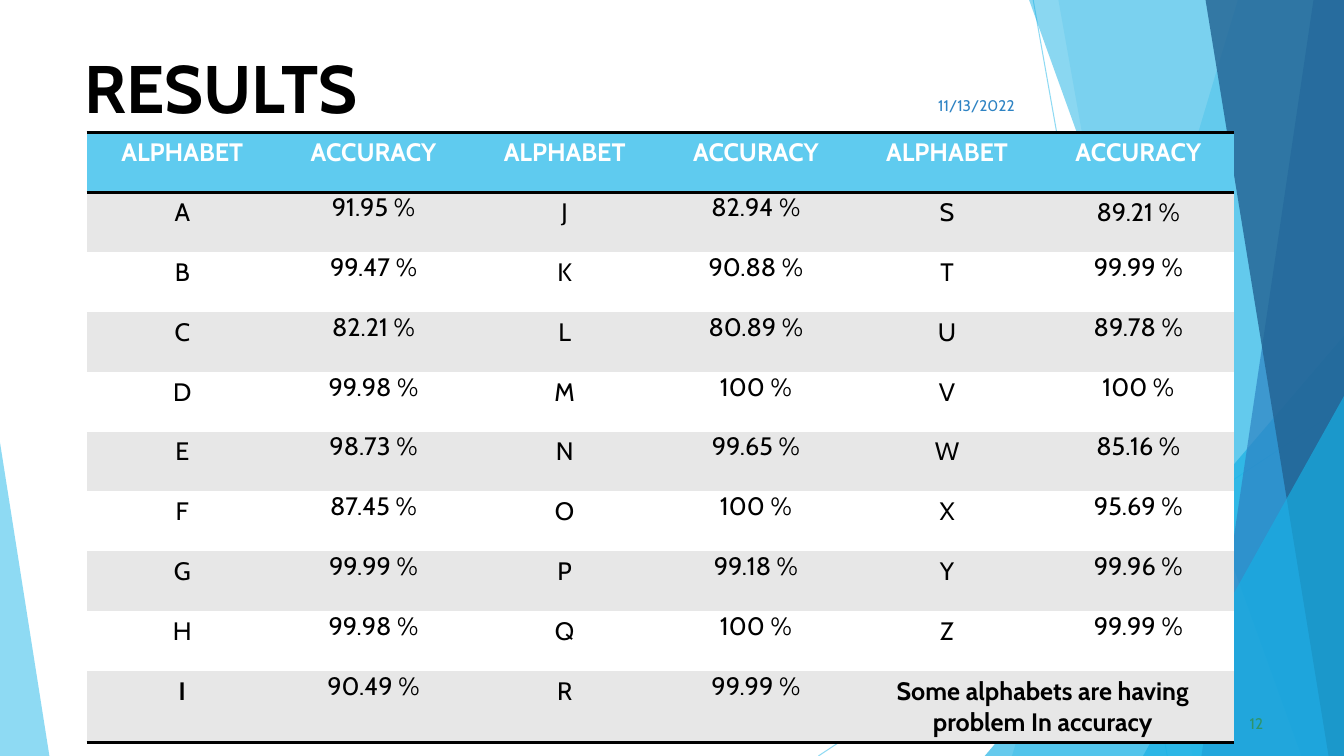
"""Build the results slide: a table of accuracy per letter over blue facets."""
from dataclasses import dataclass

from lxml.etree import SubElement as Sub
from pptx import Presentation
from pptx.dml.color import RGBColor as Rgb
from pptx.enum.shapes import MSO_CONNECTOR as Link, MSO_SHAPE as Form
from pptx.enum.text import MSO_ANCHOR as Anchor, PP_ALIGN as Align
from pptx.oxml import parse_xml
from pptx.oxml.ns import nsdecls, qn
from pptx.util import Pt


@dataclass(frozen=True)
class Theme:
    font: str = "Cabin"
    sky: str = "5FCBEF"
    cyan: str = "17B0E4"
    blue: str = "2E83C3"
    navy: str = "226292"
    green: str = "2E946B"
    black: str = "000000"
    white: str = "FFFFFF"
    gray: str = "E7E7E7"
    head: int = 48
    body: int = 18
    foot: int = 11


T = Theme()
WIDE, HIGH = 960, 540
TITLE = "RESULTS"
HEADS = ["ALPHABET", "ACCURACY"] * 3
ROWS = [
    ("A", "91.95 %", "J", "82.94 %", "S", "89.21 %"),
    ("B", "99.47 %", "K", "90.88 %", "T", "99.99 %"),
    ("C", "82.21 %", "L", "80.89 %", "U", "89.78 %"),
    ("D", "99.98 %", "M", "100 %", "V", "100 %"),
    ("E", "98.73 %", "N", "99.65 %", "W", "85.16 %"),
    ("F", "87.45 %", "O", "100 %", "X", "95.69 %"),
    ("G", "99.99 %", "P", "99.18 %", "Y", "99.96 %"),
    ("H", "99.98 %", "Q", "100 %", "Z", "99.99 %"),
    ("I", "90.49 %", "R", "99.99 %", "Some alphabets are having problem In accuracy", ""),
]
NOTE = ROWS[-1][4]
BOLD = {*HEADS, "I", NOTE}
LOW = {"89.21 %", NOTE}
MARKS = [("11/13/2022", 516, 61, T.blue), ("12", 693.4, 502.6, T.green)]
LINES = [(738, 0, 833.8, HIGH), (WIDE, 290.2, 584.6, HIGH)]
FACETS = [
    ("panel", (884.2, 722.9), T.sky, 36),
    ("panel", (756, 851.8), T.sky, 20),
    ("wedge", (703.4, 239.8, 256.6, 1), T.cyan, 66),
    ("panel", (735.1, 929.5), T.cyan, 50),
    ("panel", (938.2, 858.2), T.blue, 70),
    ("panel", (861.1, 949), T.navy, 80),
    ("wedge", (816.5, 283, 143.5, 1), T.cyan, 66),
    ("wedge", (0, 316.1, 35.3, 0), T.sky, 70),
]
LEFT, TOP, COL, ROW, LAST = 61.9, 94.5, 136.6, 42.75, 51.3


def write(frame, text, size=T.body, color=T.black, bold=False, align=Align.LEFT):
    frame.word_wrap = True
    para = frame.paragraphs[0]
    para.alignment = align
    run = para.add_run()
    run.text = text
    font = run.font
    font.name, font.size, font.bold = T.font, Pt(size), bold
    font.color.rgb = Rgb.from_string(color)


def label(slide, box, text, anchor=Anchor.TOP, **kw):
    frame = slide.shapes.add_textbox(*map(Pt, box)).text_frame
    frame.vertical_anchor = anchor
    write(frame, text, **kw)


def fade(item, alpha):
    for color in item._element.spPr.iter(qn("a:srgbClr")):
        Sub(color, qn("a:alpha"), val=str(alpha * 1000))


def panel(slide, top, base):
    pen = slide.shapes.build_freeform(Pt(top), 0, scale=1.0)
    spots = [(WIDE, 0), (WIDE, HIGH), (base, HIGH)]
    pen.add_line_segments([(Pt(x), Pt(y)) for x, y in spots], close=True)
    return pen.convert_to_shape()


def wedge(slide, x, y, width, peak):
    form = slide.shapes.add_shape(
        Form.ISOSCELES_TRIANGLE, Pt(x), Pt(y), Pt(width), Pt(HIGH - y))
    form.adjustments[0] = peak
    return form


def scene(slide):
    for ends in LINES:
        line = slide.shapes.add_connector(Link.STRAIGHT, *map(Pt, ends))
        line.line.width = Pt(0.75)
        line.line.color.rgb = Rgb.from_string(T.sky)
        fade(line, 70)
        Sub(line._element.spPr, qn("a:effectLst"))
    make = {"panel": panel, "wedge": wedge}
    for kind, place, color, alpha in FACETS:
        facet = make[kind](slide, *place)
        facet.fill.solid()
        facet.fill.fore_color.rgb = Rgb.from_string(color)
        facet.line.fill.background()
        facet.shadow.inherit = False
        fade(facet, alpha)


def rule(cell, side):
    cell._tc.get_or_add_tcPr().insert(0, parse_xml(
        f'<a:{side} {nsdecls("a")} w="{Pt(2.25)}"><a:solidFill>'
        f'<a:srgbClr val="{T.black}"/></a:solidFill></a:{side}>'))


def grid(slide):
    data = [HEADS, *ROWS]
    rows, cols = len(data), len(HEADS)
    size = (LEFT, TOP, COL * cols, ROW * (rows - 1) + LAST)
    table = slide.shapes.add_table(rows, cols, *map(Pt, size)).table
    style = table._tbl.tblPr.find(qn("a:tableStyleId"))
    style.text = "{2D5ABB26-0587-4C30-8999-92F81FD0307C}"
    table.horz_banding = False
    for col in table.columns:
        col.width = Pt(COL)
    for r, texts in enumerate(data):
        table.rows[r].height = Pt(LAST if r == rows - 1 else ROW)
        for c, text in enumerate(texts):
            cell = table.cell(r, c)
            cell.fill.solid()
            fill = T.sky if r == 0 else T.gray if r % 2 else T.white
            cell.fill.fore_color.rgb = Rgb.from_string(fill)
            if r and c % 2 and text not in LOW:
                cell.margin_left = cell.margin_right = Pt(5)
                cell.margin_top = cell.margin_bottom = 0
            if r in (0, rows - 1):
                rule(cell, "lnB")
            if r == 0:
                rule(cell, "lnT")
            if text:
                write(cell.text_frame, text, color=T.black if r else T.white,
                      bold=text in BOLD, align=Align.CENTER)
    table.cell(rows - 1, cols - 2).merge(table.cell(rows - 1, cols - 1))


def main():
    deck = Presentation()
    deck.slide_width, deck.slide_height = Pt(WIDE), Pt(HIGH)
    slide = deck.slides.add_slide(deck.slide_layouts[6])
    scene(slide)
    label(slide, (53.3, 29.5, 234.7, 65), TITLE, size=T.head, bold=True)
    grid(slide)
    for text, x, y, color in MARKS:
        label(slide, (x, y, 216, 28.8), text, Anchor.MIDDLE,
              size=T.foot, color=color, align=Align.RIGHT)
    deck.save("out.pptx")


if __name__ == "__main__":
    main()
